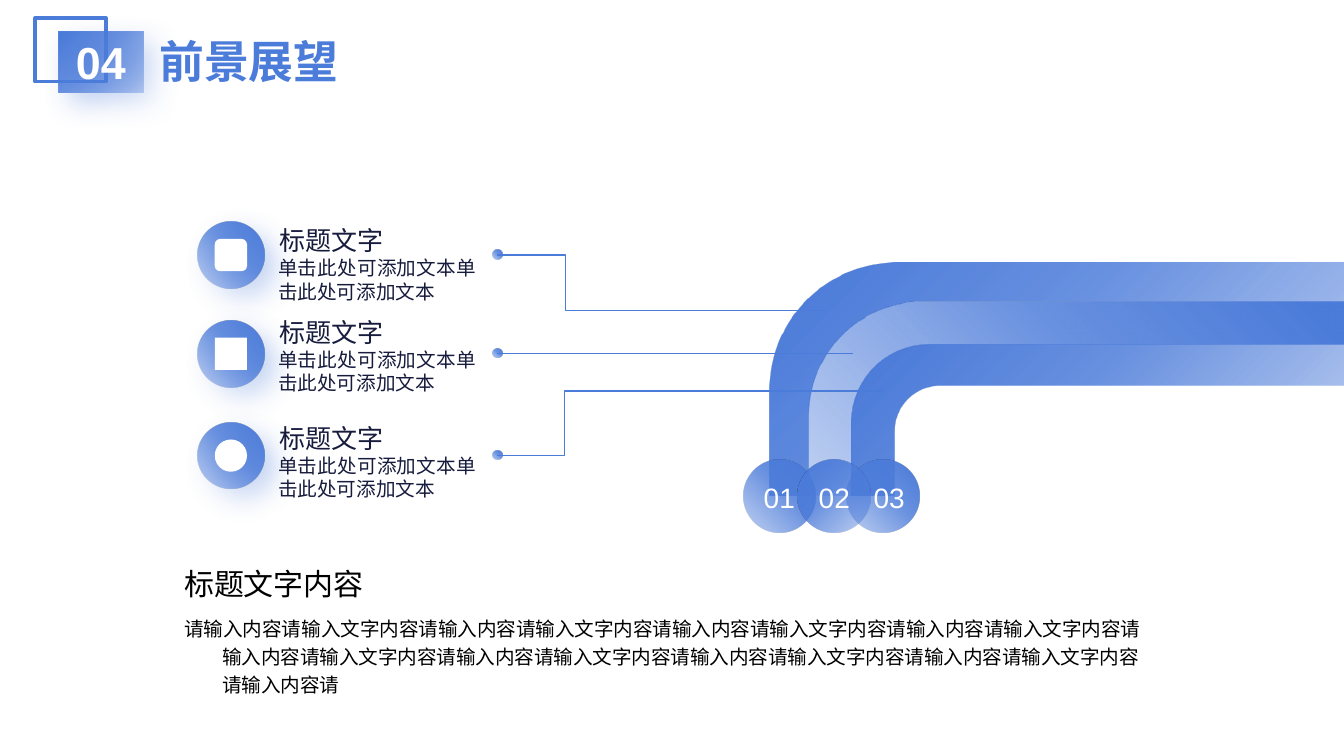
import itertools
import math

import lxml.etree
import pptx
import pptx.dml.color
import pptx.enum.shapes
import pptx.enum.text
import pptx.oxml.ns
import pptx.util

# The grid is 1333 columns by 750 rows of square cells.
COLUMNS, ROWS = 1333, 750
CELL = pptx.util.Inches(0.01)

BLUE, NAVY, BLACK, WHITE = "4C7CDA", "171C3D", "000000", "FFFFFF"
GRADIENT_STOPS = [(0, 34), (56, 83), (95, 100)]  # position and opacity, percent
FROM_LOWER_LEFT, FROM_LOWER_RIGHT = 45, 135

SHAPES = pptx.enum.shapes.MSO_SHAPE
ALIGN = pptx.enum.text.PP_ALIGN
ANCHOR = pptx.enum.text.MSO_ANCHOR

HEADING = "标题文字"
DETAIL = "单击此处可添加文本单击此处可添加文本"
SUMMARY_TITLE = "标题文字内容"
SUMMARY = ("请输入内容请输入文字内容" * 8) + "请输入内容请"

# Circle row, heading row, plain icon, and the points of the leader line.
ITEMS = [
    (220, 218, SHAPES.ROUNDED_RECTANGLE, [(493, 253), (561, 253), (561, 308), (818, 308)]),
    (318, 309, SHAPES.RECTANGLE, [(493, 351), (846, 351)]),
    (419, 414, SHAPES.OVAL, [(493, 452), (560, 452), (560, 388), (878, 388)]),
]
# Left edge, top edge and corner radius of the four curves that bound the pipes.
BENDS = [(763, 260, 127), (802, 299, 114), (845, 342, 77), (888, 383, 45)]
PIPE_FOOT = 492
# Pipe index, circle column, pipe gradient and circle gradient, back to front.
PIPES = [
    (0, 737, FROM_LOWER_RIGHT, FROM_LOWER_LEFT),
    (2, 840, FROM_LOWER_RIGHT, FROM_LOWER_LEFT),
    (1, 791, FROM_LOWER_LEFT, FROM_LOWER_RIGHT),
]


def cells(*counts):
    return [round(count * CELL) for count in counts]


def paint(color_format, color):
    color_format.rgb = pptx.dml.color.RGBColor.from_string(color)


def apply_format(target, values):
    for name, value in values.items():
        setattr(target, name, value)


def add_xml(parent, tag, **attributes):
    child = lxml.etree.SubElement(parent, pptx.oxml.ns.qn(tag))
    for name, value in attributes.items():
        child.set(name, str(value))
    return child


def fill_solid(shape, color):
    shape.fill.solid()
    paint(shape.fill.fore_color, color)


def fill_gradient(shape, angle):
    shape.fill.gradient()
    shape.fill.gradient_angle = angle
    stops = next(shape.element.spPr.iter(pptx.oxml.ns.qn("a:gsLst")))
    for stop in list(stops):
        stops.remove(stop)
    for position, opacity in GRADIENT_STOPS:
        stop = add_xml(stops, "a:gs", pos=position * 1000)
        color = add_xml(stop, "a:srgbClr", val=BLUE)
        add_xml(color, "a:alpha", val=opacity * 1000)


def cast_shadow(shape):
    """Add a soft blue shadow towards the lower right."""
    effects = shape.element.spPr.find(pptx.oxml.ns.qn("a:effectLst"))
    shadow = add_xml(effects, "a:outerShdw", blurRad=pptx.util.Pt(20),
                     dist=pptx.util.Pt(11), dir=45 * 60000,
                     algn="tl", rotWithShape=0)
    color = add_xml(shadow, "a:srgbClr", val=BLUE)
    add_xml(color, "a:alpha", val=40000)


def add_plain_shape(page, kind, place):
    shape = page.shapes.add_shape(kind, *cells(*place))
    shape.shadow.inherit = False
    shape.line.fill.background()
    return shape


def add_gradient_shape(page, kind, place, angle=FROM_LOWER_LEFT):
    shape = add_plain_shape(page, kind, place)
    fill_gradient(shape, angle)
    return shape


def write(box, text, size, color, bold=False, spacing=0, **para_format):
    frame = box.text_frame
    apply_format(frame, {"word_wrap": True,
                         "auto_size": pptx.enum.text.MSO_AUTO_SIZE.NONE})
    para = frame.paragraphs[0]
    apply_format(para, {"alignment": ALIGN.LEFT, **para_format})
    span = para.add_run()
    span.text = text
    apply_format(span.font, {"name": "Arial", "size": pptx.util.Pt(size), "bold": bold})
    paint(span.font.color, color)
    if spacing:
        span.font._element.set("spc", str(spacing))


def add_text(page, place, text, size, color, **formats):
    box = page.shapes.add_textbox(*cells(*place))
    write(box, text, size, color, **formats)


def move_placeholder(box, place):
    apply_format(box, dict(zip(("left", "top", "width", "height"), cells(*place))))
    box.text_frame.vertical_anchor = ANCHOR.TOP


def add_outline(page, points, close):
    first, *others = [cells(*point) for point in points]
    builder = page.shapes.build_freeform(*first, scale=1.0)
    builder.add_line_segments(others, close=close)
    shape = builder.convert_to_shape()
    shape.shadow.inherit = False
    return shape


def bend_points(left, top, radius, steps=40):
    """Return a path from the pipe foot, round the corner, to the right edge."""
    angles = [math.pi / 2 * step / steps for step in range(steps + 1)]
    corner = [(left + radius * (1 - math.cos(angle)),
               top + radius * (1 - math.sin(angle))) for angle in angles]
    return [(left, PIPE_FOOT), *corner, (COLUMNS, top)]


def add_pipe(page, outer, inner, angle):
    points = bend_points(*outer) + bend_points(*inner)[::-1]
    pipe = add_outline(page, points, close=True)
    fill_gradient(pipe, angle)
    pipe.line.fill.background()


def add_leader(page, points):
    if len(points) == 2:
        ends = itertools.chain(*points)
        leader = page.shapes.add_connector(
            pptx.enum.shapes.MSO_CONNECTOR.STRAIGHT, *cells(*ends))
        add_xml(leader.element.spPr, "a:effectLst")
    else:
        leader = add_outline(page, points, close=False)
        leader.fill.background()
    paint(leader.line.color, BLUE)
    leader.line.width = pptx.util.Pt(1)


def add_item(page, circle_top, heading_top, icon_kind):
    circle = add_gradient_shape(page, SHAPES.OVAL, (196, circle_top, 66, 66))
    cast_shadow(circle)
    icon = add_plain_shape(page, icon_kind, (213, circle_top + 17, 32, 32))
    fill_solid(icon, WHITE)
    add_gradient_shape(page, SHAPES.OVAL, (489, circle_top + 28, 9, 9))
    add_text(page, (267, heading_top, 189, 41), HEADING, 18.6, NAVY)
    add_text(page, (266, heading_top + 31, 216, 57), DETAIL, 14, NAVY,
             alignment=ALIGN.JUSTIFY)


def add_header(page):
    frame = add_plain_shape(page, SHAPES.RECTANGLE, (35, 18, 70, 63))
    frame.fill.background()
    paint(frame.line.color, BLUE)
    frame.line.width = pptx.util.Pt(2.75)
    badge = add_gradient_shape(page, SHAPES.RECTANGLE, (58, 31, 84, 61), FROM_LOWER_RIGHT)
    cast_shadow(badge)
    badge.text_frame.vertical_anchor = ANCHOR.MIDDLE
    write(badge, "04", 32, WHITE, bold=True, alignment=ALIGN.CENTER)
    title = page.shapes.title
    move_placeholder(title, (148, 28, 214, 64))
    write(title, "前景展望", 32, BLUE, bold=True)


def add_summary(page):
    add_text(page, (173, 556, 300, 46), SUMMARY_TITLE, 21.4, BLACK, spacing=-10)
    body = page.placeholders[1]
    move_placeholder(body, (173, 602, 976, 66))
    properties = body.text_frame.paragraphs[0]._p.get_or_add_pPr()
    apply_format(properties, {"marL": 0, "indent": 0})
    add_xml(properties, "a:buNone")
    write(body, SUMMARY, 14, BLACK, spacing=-10,
          line_spacing=1.2, space_before=pptx.util.Pt(0))


def main():
    deck = pptx.Presentation()
    apply_format(deck, {"slide_width": COLUMNS * CELL, "slide_height": ROWS * CELL})
    page = deck.slides.add_slide(deck.slide_layouts[1])
    for index, circle_left, pipe_angle, circle_angle in PIPES:
        add_pipe(page, BENDS[index], BENDS[index + 1], pipe_angle)
        add_gradient_shape(page, SHAPES.OVAL, (circle_left, 456, 72, 72), circle_angle)
        add_text(page, (743 + 54.5 * index, 472, 60, 44), f"{index + 1:02}", 20, WHITE,
                 alignment=ALIGN.CENTER)
    for circle_top, heading_top, icon_kind, leader_points in ITEMS:
        add_leader(page, leader_points)
        add_item(page, circle_top, heading_top, icon_kind)
    add_summary(page)
    add_header(page)
    deck.save("out.pptx")


if __name__ == "__main__":
    main()
